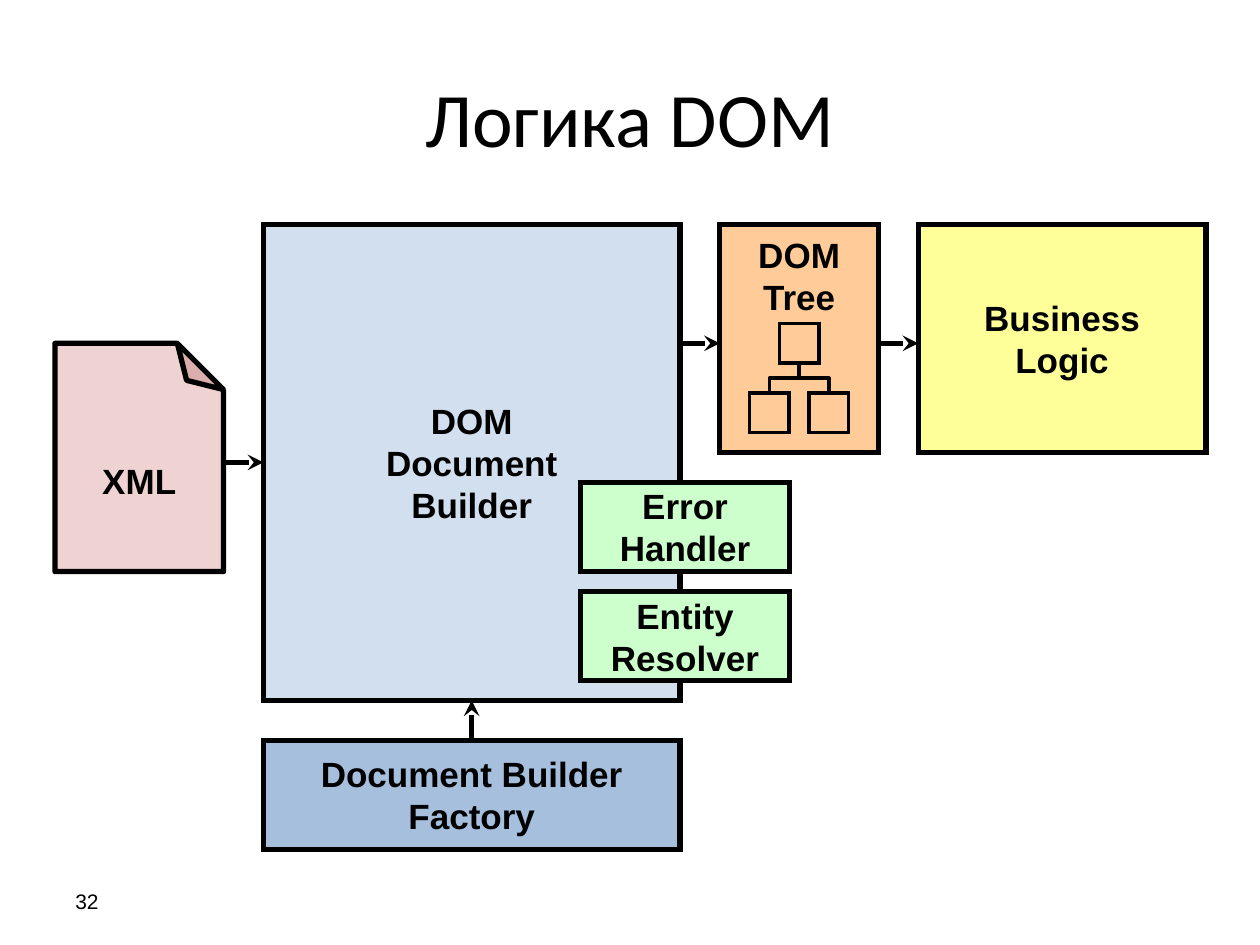
from lxml import etree
from pptx import Presentation
from pptx import util as u
from pptx.dml.color import RGBColor
from pptx.enum import shapes, text
from pptx.oxml import ns

COLORS = {
    "ink": "000000",
    "blue": "4F81BD",
    "red": "C0504D",
    "green": "CCFFCC",
    "orange": "FFCC99",
    "yellow": "FFFF99",
}
UNIT = 6.3 / 40
LEFT, TOP = 2.09, 1.78


def color(name):
    return RGBColor.from_string(COLORS[name])


def at(column, row):
    return u.Inches(LEFT + column * UNIT), u.Inches(TOP + row * UNIT)


def size(columns, rows):
    return u.Inches(columns * UNIT), u.Inches(rows * UNIT)


def add_element(parent, tag, **attributes):
    return etree.SubElement(parent, ns.qn(tag), attributes)


def find_part(shape, tag):
    return shape._element.spPr.find(ns.qn(tag))


def style_line(shape, width):
    shape.line.color.rgb = color("ink")
    shape.line.width = u.Pt(width)


def write(shape, lines, points, bold=False, align=text.PP_ALIGN.CENTER):
    frame = shape.text_frame
    frame.text = "\n".join(lines)
    frame.vertical_anchor = text.MSO_ANCHOR.MIDDLE
    for para in frame.paragraphs:
        para.alignment = align
        para.font.name = "Arial"
        para.font.size = u.Pt(points)
        para.font.bold = bold
        para.font.color.rgb = color("ink")
    return frame


def block(page, box, fill=None, alpha=None, lines=(), width=3,
          kind=shapes.MSO_SHAPE.RECTANGLE):
    column, row, columns, rows = box
    shape = page.shapes.add_shape(kind, *at(column, row), *size(columns, rows))
    shape.shadow.inherit = False
    style_line(shape, width)
    if kind == shapes.MSO_SHAPE.RECTANGLE:
        add_element(find_part(shape, "a:ln"), "a:miter", lim="800000")
    if fill:
        shape.fill.solid()
        shape.fill.fore_color.rgb = color(fill)
        if alpha:
            solid = find_part(shape, "a:solidFill")
            add_element(solid[0], "a:alpha", val=str(alpha * 1000))
    else:
        shape.fill.background()
    if lines:
        frame = write(shape, lines, 20, bold=True)
        frame.word_wrap = False
        frame.margin_top = frame.margin_bottom = 0
    return shape


def connect(page, start, end, width, kind=shapes.MSO_CONNECTOR.STRAIGHT):
    connector = page.shapes.add_connector(kind, *at(*start), *at(*end))
    style_line(connector, width)
    add_element(connector._element.spPr, "a:effectLst")
    return connector


def arrow(page, start, end):
    connector = connect(page, start, end, 3)
    add_element(find_part(connector, "a:ln"), "a:tailEnd", type="stealth")


def xml_document(page, box):
    sheet = block(page, box, "red", 25, ["XML"],
                  kind=shapes.MSO_SHAPE.FOLDED_CORNER)
    guides = find_part(sheet, "a:prstGeom").find(ns.qn("a:avLst"))
    add_element(guides, "a:gd", name="adj", fmla="val 27400")
    find_part(sheet, "a:xfrm").set("flipV", "1")
    sheet.text_frame._txBody.bodyPr.set("rot", "10800000")


def dom_tree(page, box):
    column, row, columns, rows = box
    panel = block(page, box, "orange", lines=["DOM", "Tree"])
    panel.text_frame.vertical_anchor = text.MSO_ANCHOR.TOP
    panel.text_frame.margin_top = u.Inches(0.07)
    middle = column + columns / 2
    node, reach = 2, 1.5
    root_row, child_row = row + 5, row + 8.5
    joint_row = root_row + node
    for center, node_row in ((middle, root_row), (middle - reach, child_row),
                             (middle + reach, child_row)):
        block(page, (center - node / 2, node_row, node, node), width=2)
    for side, turn in ((-1, 90), (1, 270)):
        branch = connect(page, (middle + side * reach, joint_row),
                         (middle, child_row), 2, shapes.MSO_CONNECTOR.ELBOW)
        find_part(branch, "a:xfrm").set("rot", str(turn * 60000))


def diagram(page):
    block(page, (0, 0, 21, 24), "blue", 25, ["DOM", "Document", "Builder"])
    xml_document(page, (-10.5, 6, 8.5, 11.5))
    block(page, (0, 26, 21, 5.5), "blue", 50, ["Document Builder", "Factory"])
    for row, lines in ((13, ["Error", "Handler"]), (18.5, ["Entity", "Resolver"])):
        block(page, (16, row, 10.5, 4.5), "green", lines=lines)
    dom_tree(page, (23, 0, 8, 11.5))
    block(page, (33, 0, 14.5, 11.5), "yellow", lines=["Business", "Logic"])
    for start, end in (((-2, 12), (0, 12)), ((21, 6), (23, 6)),
                       ((31, 6), (33, 6)), ((10.5, 26), (10.5, 24))):
        arrow(page, start, end)


def heading(page, box):
    title = page.shapes.title
    title.left, title.top, title.width, title.height = map(u.Inches, box)
    title.text_frame.text = "Логика DOM"
    title.text_frame.vertical_anchor = text.MSO_ANCHOR.MIDDLE
    para = title.text_frame.paragraphs[0]
    para.alignment = text.PP_ALIGN.CENTER
    para.font.name = "Calibri"
    para.font.size = u.Pt(44)
    para.font.color.rgb = color("ink")


def page_number(page, box):
    label = page.shapes.add_textbox(*map(u.Inches, box))
    write(label, ["32"], 12, align=text.PP_ALIGN.LEFT).word_wrap = True


def main():
    deck = Presentation()
    deck.slide_width, deck.slide_height = u.Inches(10), u.Inches(7.5)
    page = deck.slides.add_slide(deck.slide_layouts[5])
    page_number(page, (0.5, 6.95, 2.33, 0.4))
    heading(page, (0.5, 0.3, 9, 1.25))
    diagram(page)
    deck.save("out.pptx")


if __name__ == "__main__":
    main()
